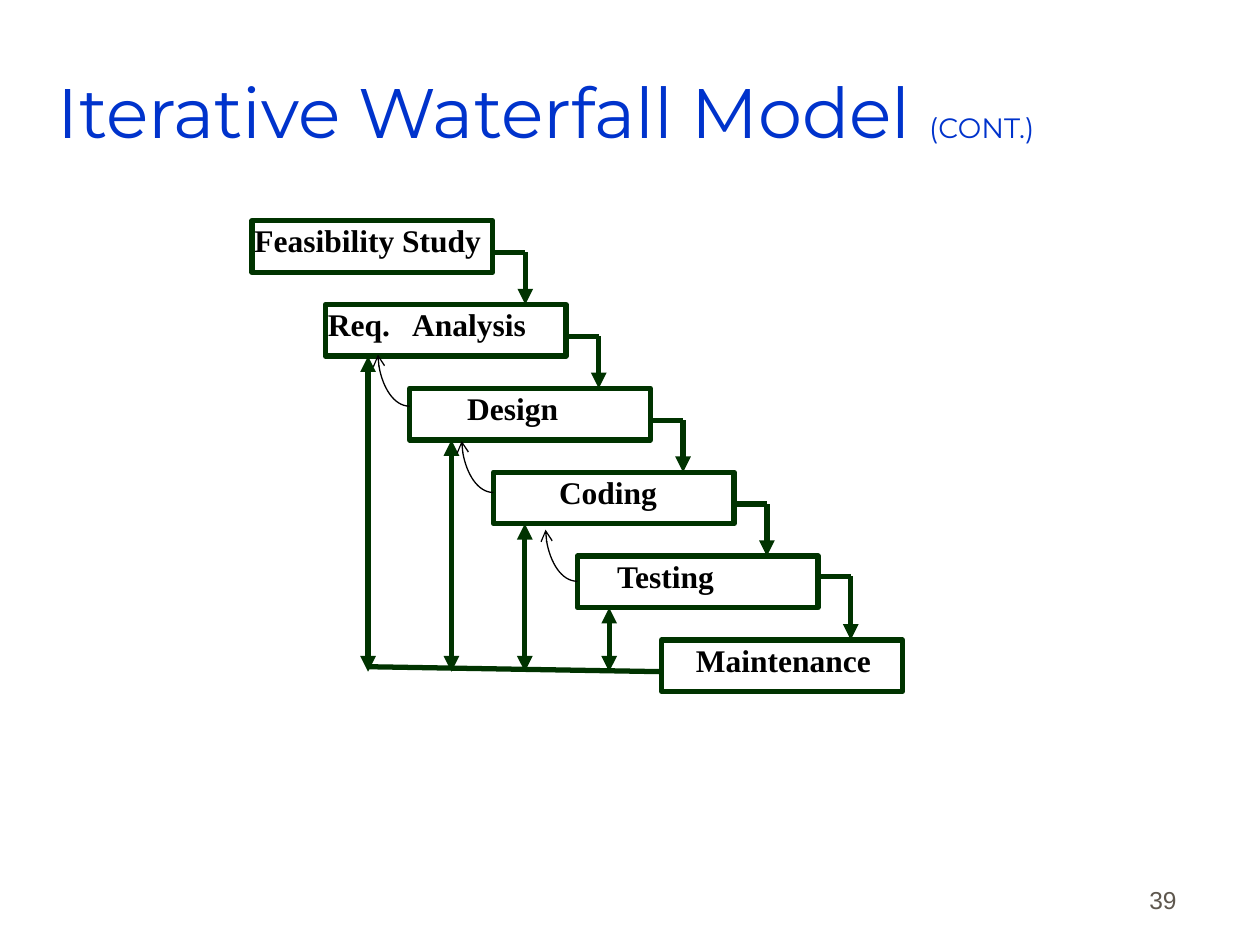
import pptx
import pptx.dml.color
import pptx.enum.shapes
import pptx.enum.text
import pptx.oxml
import pptx.oxml.ns
import pptx.util

Cm = pptx.util.Cm
Pt = pptx.util.Pt
ANCHOR = pptx.enum.text.MSO_ANCHOR
ALIGN = pptx.enum.text.PP_ALIGN
CONNECTOR = pptx.enum.shapes.MSO_CONNECTOR

COLOURS = {"title": "0033CC", "line": "003300", "text": "000000", "number": "5E574E"}
FONTS = {
    "title": {"name": "Montserrat", "size": Pt(40)},
    "suffix": {"name": "Montserrat", "size": Pt(16)},
    "stage": {"name": "Times New Roman", "size": Pt(18), "bold": True},
    "number": {"name": "Arial", "size": Pt(14)},
}

# Stage: label, left edge, text indent, drop of its exit line (cm)
STAGES = [
    ("Feasibility Study", 5.08, 0, 0.64),
    ("Req.\tAnalysis", 6.56, 0, 0.64),
    ("Design", 8.26, 1.11, 0.64),
    ("Coding", 9.95, 1.27, 0.64),
    ("Testing", 11.64, 0.75, 0.41),
    ("Maintenance", 13.34, 0.64, 0),
]
TOP, STEP, WIDTH, HEIGHT = 4.45, 1.69, 4.85, 1.04
EXIT = 0.66
RAIL = 13.54
FEEDBACK_X = [7.42, 9.1, 10.58, 12.28]
CURVE_DROPS = {2: 0.36, 3: 0.41, 4: 0.51}


def set_all(target, values):
    for name, value in values.items():
        setattr(target, name, value)


def rgb(key):
    return pptx.dml.color.RGBColor.from_string(COLOURS[key])


def element(tag, attributes="", content=""):
    space = pptx.oxml.ns.nsdecls("a")
    return pptx.oxml.parse_xml(f"<a:{tag} {space} {attributes}>{content}</a:{tag}>")


class Sketch:
    """Holds the line style and the current slide."""

    def __init__(self, slide, line_width=3):
        self.slide = slide
        self.line_width = line_width

    def add_span(self, para, text, font, colour):
        span = para.add_run()
        span.text = text
        set_all(span.font, FONTS[font])
        span.font.color.rgb = rgb(colour)

    def frame(self, shape, side, anchor):
        set_all(shape.text_frame, {
            "word_wrap": True, "vertical_anchor": anchor,
            "margin_left": Cm(side), "margin_right": Cm(side),
            "margin_top": Cm(0.13), "margin_bottom": Cm(0.13),
        })
        return shape.text_frame.paragraphs[0]

    def text(self, left, top, width, height, spans, side, anchor, align=ALIGN.LEFT):
        box = self.slide.shapes.add_textbox(Cm(left), Cm(top), Cm(width), Cm(height))
        para = self.frame(box, side, anchor)
        para.alignment = align
        for text, font, colour in spans:
            self.add_span(para, text, font, colour)

    def stage(self, label, left, top, indent):
        box = self.slide.shapes.add_shape(
            pptx.enum.shapes.MSO_SHAPE.ROUNDED_RECTANGLE,
            Cm(left), Cm(top), Cm(WIDTH), Cm(HEIGHT))
        box.adjustments[0] = 0
        box.shadow.inherit = False
        box.fill.background()
        box.line.color.rgb = rgb("line")
        box.line.width = Pt(self.line_width)
        para = self.frame(box, 0.05, ANCHOR.TOP)
        box.text_frame.margin_left = Cm(0.05 + indent)
        set_all(para, {"alignment": ALIGN.LEFT, "line_spacing": 0.85})
        if "\t" in label:
            stop = f'<a:tab pos="{Cm(1.7)}" algn="l"/>'
            para._p.get_or_add_pPr().append(element("tabLst", content=stop))
        self.add_span(para, label, "stage", "text")

    def line(self, start, end, head=None, tail=None, kind=CONNECTOR.STRAIGHT,
             colour="line", width=None):
        points = [Cm(value) for value in (*start, *end)]
        link = self.slide.shapes.add_connector(kind, *points)
        link.line.color.rgb = rgb(colour)
        link.line.width = Pt(width or self.line_width)
        properties = link._element.spPr
        outline = properties.find(pptx.oxml.ns.qn("a:ln"))
        for tag, arrow in (("headEnd", head), ("tailEnd", tail)):
            if arrow:
                outline.append(element(tag, f'type="{arrow}"'))
        properties.append(element("effectLst"))
        return link

    def curve(self, start, end):
        link = self.line(start, end, tail="arrow", kind=CONNECTOR.CURVE,
                         colour="text", width=0.75)
        geometry = link._element.spPr.find(pptx.oxml.ns.qn("a:prstGeom"))
        geometry.set("prst", "curvedConnector2")


def main():
    deck = pptx.Presentation()
    set_all(deck, {"slide_width": Cm(25.4), "slide_height": Cm(19.05)})
    page = Sketch(deck.slides.add_slide(deck.slide_layouts[6]))

    # Title and page number
    page.text(1.12, 0.64, 21.59, 3.17,
              [("Iterative Waterfall Model ", "title", "title"),
               ("(CONT.)", "suffix", "title")], 0.05, ANCHOR.MIDDLE)
    page.text(18.69, 17.3, 5.28, 1.27, [("39", "number", "number")],
              0.25, ANCHOR.BOTTOM, ALIGN.RIGHT)

    # Stages, with the step down from each to the next
    tops = [TOP + STEP * row for row in range(len(STAGES))]
    for row, (label, left, indent, drop) in enumerate(STAGES):
        page.stage(label, left, tops[row], indent)
        if row + 1 < len(STAGES):
            corner = (left + WIDTH + EXIT, tops[row] + drop)
            page.line((left + WIDTH, corner[1]), corner)
            page.line(corner, (corner[0], tops[row + 1]), tail="triangle")

    # Feedback from maintenance to the earlier stages
    page.line((STAGES[-1][1], RAIL), (FEEDBACK_X[0], RAIL - 0.1))
    for x, top in zip(FEEDBACK_X, tops[1:]):
        page.line((x, RAIL), (x, top + HEIGHT), head="triangle", tail="triangle")

    # Feedback from a stage to the one before
    for row, drop in CURVE_DROPS.items():
        left, y = STAGES[row][1], tops[row] + drop
        page.curve((left, y), (left - 0.64, y - 1.04))

    deck.save("out.pptx")


if __name__ == "__main__":
    main()
